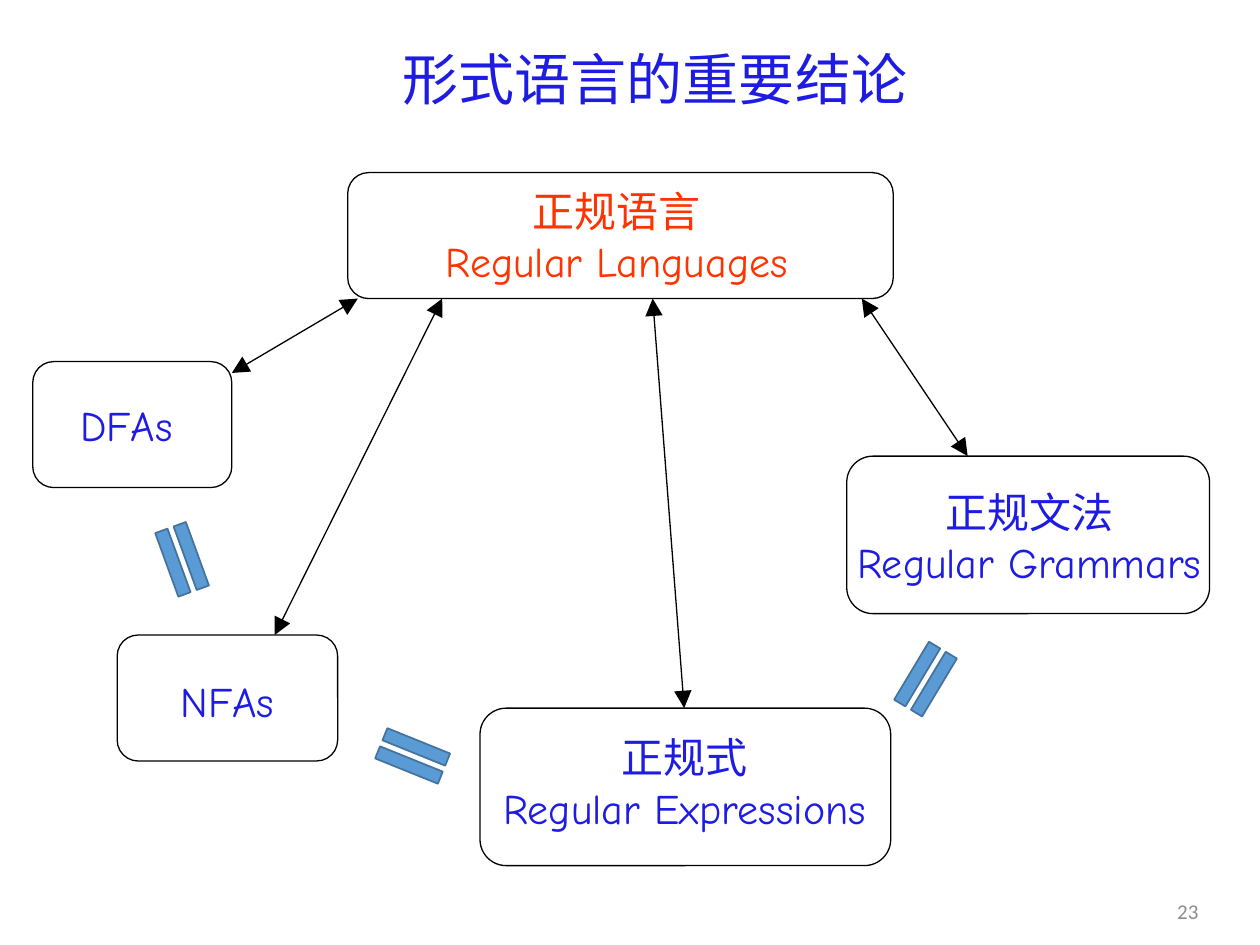
from pptx import Presentation
from pptx.dml.color import RGBColor
from pptx.enum.shapes import MSO_CONNECTOR, MSO_SHAPE
from pptx.enum.text import MSO_ANCHOR, PP_ALIGN
from pptx.oxml.ns import qn
from pptx.util import Inches, Pt
from lxml.etree import SubElement

BLUE = RGBColor(0x1E, 0x1C, 0xE3)
RED = RGBColor(0xFF, 0x33, 0x00)
BLACK = RGBColor(0, 0, 0)
GRAY = RGBColor(0x8C, 0x8C, 0x8C)
EQUAL_FILL = RGBColor(0x5B, 0x9B, 0xD5)
EQUAL_LINE = RGBColor(0x43, 0x73, 0x9E)
CJK, COMIC, CALIBRI = "Noto Sans CJK SC", "Comic Neue", "Calibri"

# Each node: outline box, text box, colour, lines of (text, font)
NODES = [
    ((2.76, 1.37, 4.33, 1), (2.84, 1.42, 4.11, 0.92), RED,
     [("正规语言", CJK), ("Regular Languages", COMIC)]),
    ((0.26, 2.87, 1.58, 1), (0.34, 3.12, 1.33, 0.63), BLUE,
     [("DFAs", COMIC)]),
    ((0.93, 5.04, 1.75, 1), (1.12, 5.31, 1.37, 0.63), BLUE,
     [("NFAs", COMIC)]),
    ((3.81, 5.62, 3.26, 1.25), (3.45, 5.76, 3.97, 1.27), BLUE,
     [("正规式", CJK), ("Regular Expressions", COMIC)]),
    ((6.72, 3.62, 2.88, 1.25), (6.67, 3.81, 3, 1.09), BLUE,
     [("正规文法", CJK), ("Regular Grammars", COMIC)]),
]
# From the bottom of the top node to each other node
ARROWS = [
    (2.84, 2.37, 1.84, 2.96),
    (3.51, 2.37, 2.18, 5.04),
    (5.18, 2.37, 5.43, 5.62),
    (6.84, 2.37, 7.68, 3.62),
]
ARROWHEAD = {"type": "triangle", "w": "lg", "len": "lg"}
# Left, top and rotation of each equals sign
EQUALS = [(2.91, 5.78, 22), (1.08, 4.22, 70), (6.98, 5.17, 121)]


def inches(box):
    return [Inches(v) for v in box]


def add_text(s, box, lines, size, color, wrap=True,
             anchor=MSO_ANCHOR.TOP, **paragraph_format):
    tf = s.shapes.add_textbox(*inches(box)).text_frame
    tf.word_wrap = wrap
    tf.vertical_anchor = anchor
    for i, (text, font) in enumerate(lines):
        p = tf.paragraphs[0] if i == 0 else tf.add_paragraph()
        for name, value in {"alignment": PP_ALIGN.CENTER, **paragraph_format}.items():
            setattr(p, name, value)
        r = p.add_run()
        r.text = text
        for name, value in {"size": Pt(size), "name": font}.items():
            setattr(r.font, name, value)
        r.font.color.rgb = color
        # East Asian typeface follows the Latin one
        SubElement(r.font._element, qn("a:ea")).set("typeface", font)


def add_node(s, box, text_box, color, lines):
    add_text(s, text_box, lines, 24, color, wrap=False)
    sp = s.shapes.add_shape(MSO_SHAPE.ROUNDED_RECTANGLE, *inches(box))
    sp.shadow.inherit = False
    sp.fill.background()
    sp.line.color.rgb = BLACK
    sp.line.width = Pt(0.75)


def add_arrow(s, ends):
    cn = s.shapes.add_connector(MSO_CONNECTOR.STRAIGHT, *inches(ends))
    cn.line.color.rgb = BLACK
    cn.line.width = Pt(0.75)
    ln = cn.line._get_or_add_ln()
    for tag in ("a:headEnd", "a:tailEnd"):
        SubElement(ln, qn(tag), ARROWHEAD)
    SubElement(cn._element.spPr, qn("a:effectLst"))


def add_equals(s, left, top, rotation):
    sp = s.shapes.add_shape(MSO_SHAPE.MATH_EQUAL, *inches((left, top, 0.73, 0.44)))
    sp.shadow.inherit = False
    sp.rotation = rotation
    sp.fill.solid()
    sp.fill.fore_color.rgb = EQUAL_FILL
    sp.line.color.rgb = EQUAL_LINE
    sp.line.width = Pt(1)


def add_diagram(s):
    for node in NODES:
        add_node(s, *node)
    for ends in ARROWS:
        add_arrow(s, ends)
    for sign in EQUALS:
        add_equals(s, *sign)


def main():
    prs = Presentation()
    prs.slide_width, prs.slide_height = Inches(10), Inches(7.5)
    s = prs.slides.add_slide(prs.slide_layouts[6])

    # Slide number and title
    add_text(s, (9.07, 7.03, 0.54, 0.4), [("23", CALIBRI)], 12, GRAY,
             anchor=MSO_ANCHOR.MIDDLE, alignment=PP_ALIGN.RIGHT)
    add_text(s, (1.97, 0.29, 6.46, 0.73), [("形式语言的重要结论", CJK)], 32, BLUE,
             anchor=MSO_ANCHOR.MIDDLE, line_spacing=0.9)

    add_diagram(s)
    prs.save("out.pptx")


if __name__ == "__main__":
    main()
